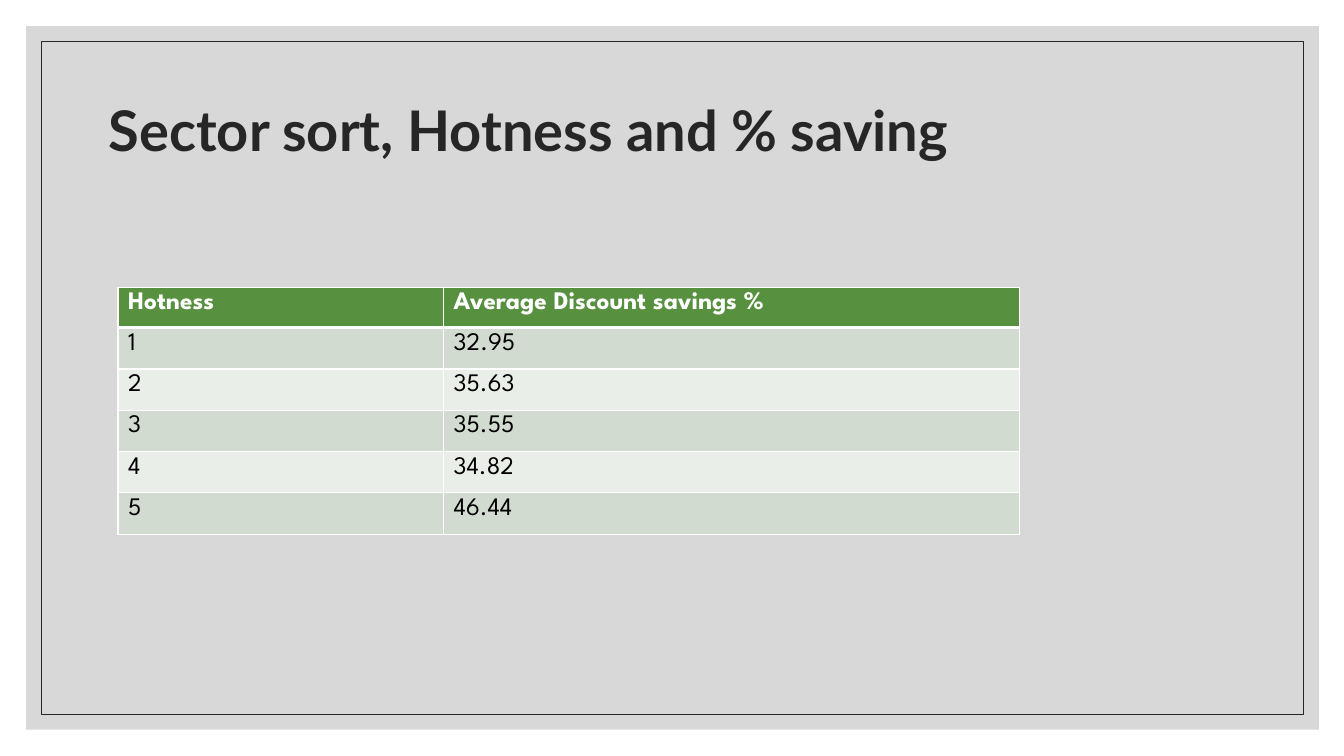
from lxml import etree
from pptx import Presentation
from pptx.dml.color import RGBColor as RGB
from pptx.enum.text import MSO_ANCHOR, MSO_AUTO_SIZE, PP_ALIGN
from pptx.enum.shapes import MSO_SHAPE
from pptx.oxml.ns import qn
from pptx.util import Inches, Pt

PANEL_GRAY = RGB(0xBF, 0xBF, 0xBF)
INK = RGB(0x26, 0x26, 0x26)
WHITE = RGB(0xFF, 0xFF, 0xFF)
BLACK = RGB(0, 0, 0)
HEADER_GREEN = RGB(0x57, 0x90, 0x3F)
BAND_DARK = RGB(0xD1, 0xDB, 0xCF)
BAND_LIGHT = RGB(0xEA, 0xEE, 0xE8)

ROWS = [
    ("Hotness", "Average Discount savings %"),
    ("1", "32.95"),
    ("2", "35.63"),
    ("3", "35.55"),
    ("4", "34.82"),
    ("5", "46.44"),
]


def write(tf, text, font, size, color, bold=False, spacing=None):
    p = tf.paragraphs[0]
    p.alignment = PP_ALIGN.LEFT
    p.line_spacing = spacing
    r = p.add_run()
    r.text = text
    r.font.name, r.font.size, r.font.bold = font, Pt(size), bold
    r.font.color.rgb = color


def add_rect(slide, left, top, width, height):
    sp = slide.shapes.add_shape(MSO_SHAPE.RECTANGLE, Inches(left), Inches(top),
                                Inches(width), Inches(height))
    sp.shadow.inherit = False
    return sp


def add_frame(slide, left, top, width, height, inset=0.15):
    """Translucent gray panel with a thin outline inside it."""
    panel = add_rect(slide, left, top, width, height)
    panel.fill.solid()
    panel.fill.fore_color.rgb = PANEL_GRAY
    panel.line.fill.background()
    color = panel.fill._xPr.find(qn("a:solidFill"))[0]
    etree.SubElement(color, qn("a:alpha"), val="60000")

    outline = add_rect(slide, left + inset, top + inset,
                       width - 2 * inset, height - 2 * inset)
    outline.fill.background()
    outline.line.color.rgb = INK
    outline.line.width = Pt(0.5)


def add_title(slide, text, left, top, width, height):
    title = slide.shapes.title
    title.left, title.top = Inches(left), Inches(top)
    title.width, title.height = Inches(width), Inches(height)
    tf = title.text_frame
    tf.word_wrap = True
    tf.auto_size = MSO_AUTO_SIZE.NONE
    tf.vertical_anchor = MSO_ANCHOR.MIDDLE
    tf.margin_bottom = Inches(0.65)
    write(tf, text, "Lato", 40, INK, bold=True, spacing=0.9)


def set_borders(cell, **widths):
    """Draw white borders; widths in points by side: L, R, T, B."""
    tcPr = cell._tc.get_or_add_tcPr()
    for side, width in widths.items():
        ln = etree.SubElement(tcPr, qn(f"a:ln{side}"), w=str(Pt(width)))
        fill = etree.SubElement(ln, qn("a:solidFill"))
        etree.SubElement(fill, qn("a:srgbClr"), val=str(WHITE))


def add_savings_table(slide, left, top, col_widths, row_height):
    tbl = slide.shapes.add_table(
        len(ROWS), len(col_widths), Inches(left), Inches(top),
        Inches(sum(col_widths)), Inches(row_height * len(ROWS))).table
    for col, width in zip(tbl.columns, col_widths):
        col.width = Inches(width)
    for i, row in enumerate(ROWS):
        header = i == 0
        band = HEADER_GREEN if header else BAND_DARK if i % 2 else BAND_LIGHT
        for j, text in enumerate(row):
            cell = tbl.cell(i, j)
            set_borders(cell, L=1, R=1, T=3 if i == 1 else 1, B=3 if header else 1)
            cell.fill.solid()
            cell.fill.fore_color.rgb = band
            write(cell.text_frame, text, "League Spartan", 18,
                  WHITE if header else BLACK, bold=header)
    tbl.rows[0].height = Inches(0.4)


def main():
    prs = Presentation()
    prs.slide_width, prs.slide_height = Inches(13.33), Inches(7.5)
    slide = prs.slides.add_slide(prs.slide_layouts[5])
    add_frame(slide, 0.26, 0.26, 12.82, 6.98)
    add_title(slide, "Sector sort, Hotness and % saving", 0.98, 0.87, 11, 1.5)
    # The title is drawn above the frame
    slide.shapes._spTree.append(slide.shapes.title._element)
    add_savings_table(slide, 1.17, 2.85, (3.23, 5.71), 0.41)
    prs.save("out.pptx")


if __name__ == "__main__":
    main()
